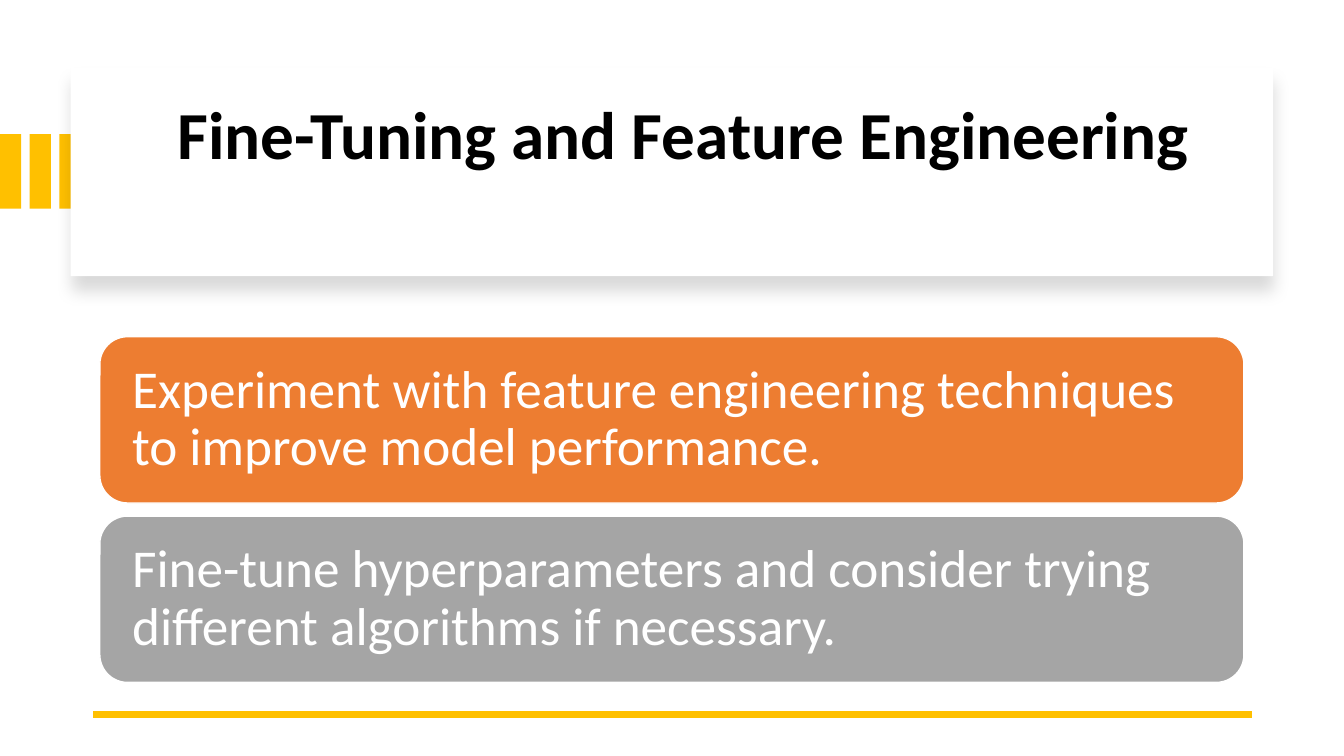
from lxml import etree
from pptx import Presentation
from pptx.dml.color import RGBColor
from pptx.enum.shapes import MSO_CONNECTOR, MSO_SHAPE
from pptx.enum.text import MSO_ANCHOR, MSO_AUTO_SIZE, PP_ALIGN
from pptx.oxml.ns import qn
from pptx.util import Inches, Pt

RECT, ROUND = MSO_SHAPE.RECTANGLE, MSO_SHAPE.ROUNDED_RECTANGLE
LINE = MSO_CONNECTOR.STRAIGHT
MIDDLE, LEFT, FIXED = MSO_ANCHOR.MIDDLE, PP_ALIGN.LEFT, MSO_AUTO_SIZE.NONE

THEME = {
    "font": "Calibri", "title": 48, "body": 38,
    "gold": "FFC000", "white": "FFFFFF", "black": "000000",
    "orange": "ED7D31", "gray": "A5A5A5",
}
BAR_STEP = 0.295
ROW_TOP, ROW_STEP = 3.34, 1.78
ROWS = [
    ("orange", "Experiment with feature engineering techniques to improve model performance."),
    ("gray", "Fine-tune hyperparameters and consider trying different algorithms if necessary."),
]

deck = Presentation()
deck.slide_width, deck.slide_height = Inches(13.333), Inches(7.5)
slide = deck.slides.add_slide(deck.slide_layouts[5])


def add_box(kind, left, top, width, height, fill):
    box = slide.shapes.add_shape(kind, *map(Inches, (left, top, width, height)))
    box.shadow.inherit = False
    box.fill.solid()
    box.fill.fore_color.rgb = RGBColor.from_string(THEME[fill])
    box.line.fill.background()
    return box


def set_text(shape, text, size, color, inset, bold=False):
    frame = shape.text_frame
    frame.text = text
    frame.word_wrap = True
    frame.auto_size = FIXED
    frame.vertical_anchor = MIDDLE
    frame.margin_left = Inches(inset)
    para = frame.paragraphs[0]
    para.alignment = LEFT
    para.line_spacing = 0.9
    font = para.runs[0].font
    font.name, font.size, font.bold = THEME["font"], Pt(THEME[size]), bold
    font.color.rgb = RGBColor.from_string(THEME[color])


for col in range(3):
    add_box(RECT, col * BAR_STEP, 1.33, 0.21, 0.74, "gold")

card = add_box(RECT, 0.7, 0.67, 11.93, 2.07, "white")
effects = card.element.spPr.find(qn("a:effectLst"))
shadow = etree.SubElement(effects, qn("a:outerShdw"), blurRad=str(Pt(11)),
                          dist=str(Pt(10)), dir="5400000", algn="t", rotWithShape="0")
tint = etree.SubElement(shadow, qn("a:srgbClr"), val=THEME["black"])
etree.SubElement(tint, qn("a:alpha"), val="15000")

title = slide.shapes.title
title.left, title.top, title.width, title.height = map(Inches, (1.21, 0.35, 11.13, 2.03))
set_text(title, "Fine-Tuning and Feature Engineering", "title", "black", 0.55, True)
card.element.addnext(title.element)

rule = slide.shapes.add_connector(LINE, *map(Inches, (12.42, 7.09, 0.92, 7.09)))
rule.line.color.rgb = RGBColor.from_string(THEME["gold"])
rule.line.width = Pt(4.5)
etree.SubElement(rule.element.spPr, qn("a:effectLst"))

for row, (fill, text) in enumerate(ROWS):
    panel = add_box(ROUND, 0.99, ROW_TOP + row * ROW_STEP, 11.35, 1.65, fill)
    panel.line.color.rgb = RGBColor.from_string(THEME["white"])
    panel.line.width = Pt(1)
    set_text(panel, text, "body", "white", 0.24)
    panel.text_frame.margin_right = Inches(0.24)

deck.save("out.pptx")
